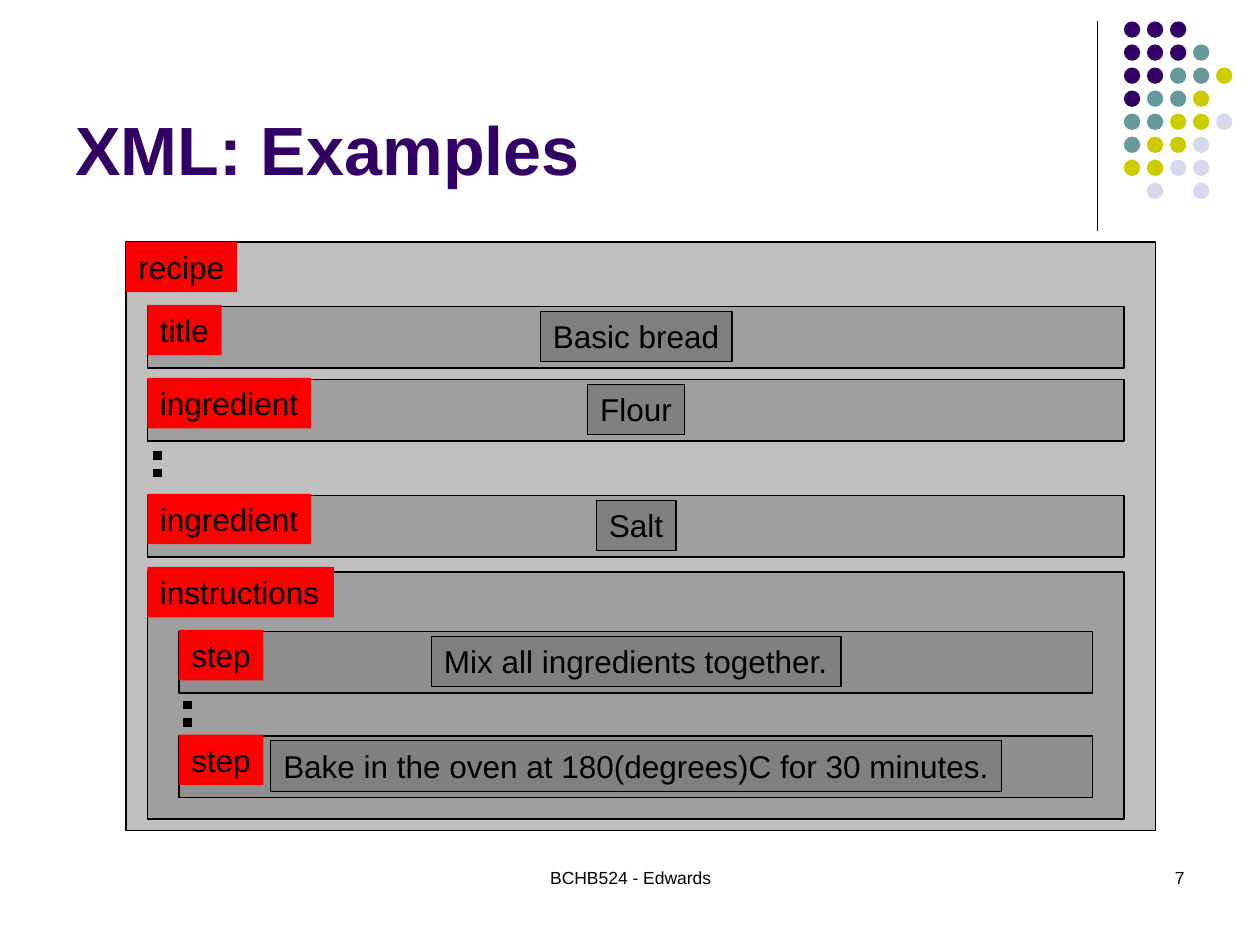
import pptx
import pptx.util
import pptx.dml.color
import pptx.enum.dml
import pptx.enum.shapes
import pptx.enum.text
import pptx.oxml
import pptx.oxml.ns

Inches = pptx.util.Inches
Pt = pptx.util.Pt
Align = pptx.enum.text.PP_ALIGN
Anchor = pptx.enum.text.MSO_ANCHOR
Shape = pptx.enum.shapes.MSO_SHAPE

COLORS = {
    "ink": "000000", "tag": "FF0000", "gray": "808080",
    "P": "330066", "T": "669999", "Y": "CCCC00", "L": "D8D8EC",
}

DOT_ROWS = ["PPP", "PPPT", "PPTTY", "PTTY", "TTYYL", "TYYL", "YYLL", " L L"]

HEADINGS = [
    ("XML: Examples", (0.5, 0.13, 8.25, 1.42), Align.LEFT, Anchor.BOTTOM,
     {"size": Pt(39), "bold": True}, "P"),
    ("BCHB524 - Edwards", (3.42, 6.83, 3.17, 0.5), Align.CENTER, Anchor.TOP,
     {"size": Pt(10)}, "ink"),
    ("7", (7.17, 6.83, 2.33, 0.5), Align.RIGHT, Anchor.TOP,
     {"size": Pt(10)}, "ink"),
]

ELEMENT_FIELDS = ("tag", "level", "top", "tag_width", "gap", "height",
                  "value", "value_width")
ELEMENTS = [dict(zip(ELEMENT_FIELDS, element)) for element in [
    ("recipe", 0, 1.92, 0.88, 0, 4.67, None, 0),
    ("title", 1, 2.42, 0.59, 0.01, 0.49, "Basic bread", 1.52),
    ("ingredient", 1, 3, 1.3, 0.01, 0.49, "Flour", 0.77),
    ("ingredient", 1, 3.92, 1.3, 0.01, 0.49, "Salt", 0.63),
    ("instructions", 1, 4.5, 1.48, 0.04, 1.96, None, 0),
    ("step", 2, 5, 0.67, 0.01, 0.49, "Mix all ingredients together.", 3.25),
    ("step", 2, 5.83, 0.67, 0.01, 0.49,
     "Bake in the oven at 180(degrees)C for 30 minutes.", 5.8),
]]
LEVELS = [(1, 8.17), (1.17, 7.75), (1.42, 7.25)]
ELLIPSES = [(1.25, 3.58), (1.49, 5.56)]

LABEL_HEIGHT = 0.4
VALUE_CENTER = 5.05
VALUE_DROP = 0.05
DOT_SIZE = 0.13
DOT_ORIGIN = (8.92, 0.17)
DOT_PITCH = 1.28 / 7

deck = pptx.Presentation()
deck.slide_width, deck.slide_height = Inches(10), Inches(7.5)
slide = deck.slides.add_slide(deck.slide_layouts[6])


def rgb(name):
    return pptx.dml.color.RGBColor.from_string(COLORS[name])


def write(shape, text, color, font, paragraph, frame):
    for name, value in frame.items():
        setattr(shape.text_frame, name, value)
    line = shape.text_frame.paragraphs[0]
    for name, value in paragraph.items():
        setattr(line, name, value)
    run = line.add_run()
    run.text = text
    for name, value in {"name": "Arial", **font}.items():
        setattr(run.font, name, value)
    run.font.color.rgb = rgb(color)


def add_block(kind, place, fill, outlined=False, opacity=None):
    block = slide.shapes.add_shape(kind, *map(Inches, place))
    block.shadow.inherit = False
    block.fill.solid()
    block.fill.fore_color.rgb = rgb(fill)
    if outlined:
        block.line.color.rgb = rgb("ink")
        block.line.width = Pt(0.75)
    else:
        block.line.fill.background()
    if opacity is not None:
        tint = block._element.spPr.find(
            "/".join(map(pptx.oxml.ns.qn, ("a:solidFill", "a:srgbClr"))))
        tint.append(pptx.oxml.parse_xml(
            f'<a:alpha {pptx.oxml.ns.nsdecls("a")} val="{opacity * 1000}"/>'))
    return block


def add_label(text, place, fill, outlined=False):
    label = add_block(Shape.RECTANGLE, place, fill, outlined)
    write(label, text, "ink", {"size": Pt(18)}, {"alignment": Align.LEFT},
          {"word_wrap": False, "vertical_anchor": Anchor.TOP,
           "auto_size": pptx.enum.text.MSO_AUTO_SIZE.SHAPE_TO_FIT_TEXT})


def add_vertical(x, top, bottom, width, dash=None):
    rule = slide.shapes.add_connector(
        pptx.enum.shapes.MSO_CONNECTOR.STRAIGHT, *map(Inches, (x, top, x, bottom)))
    rule.line.color.rgb = rgb("ink")
    rule.line.width = Pt(width)
    if dash:
        rule.line.dash_style = dash
    rule._element.spPr.append(
        pptx.oxml.parse_xml(f'<a:effectLst {pptx.oxml.ns.nsdecls("a")}/>'))


add_vertical(8.71, 0.17, 1.83, 0.75)
for row, dots in enumerate(DOT_ROWS):
    for column, dot in enumerate(dots):
        if dot != " ":
            add_block(Shape.OVAL, (DOT_ORIGIN[0] + column * DOT_PITCH,
                                   DOT_ORIGIN[1] + row * DOT_PITCH,
                                   DOT_SIZE, DOT_SIZE), dot)

for text, place, alignment, anchor, font, color in HEADINGS:
    heading = slide.shapes.add_textbox(*map(Inches, place))
    write(heading, text, color, font, {"alignment": alignment},
          {"word_wrap": True, "vertical_anchor": anchor})

for element in ELEMENTS:
    left, width = LEVELS[element["level"]]
    top = element["top"]
    add_block(Shape.RECTANGLE, (left, top + element["gap"], width, element["height"]),
              "gray", True, 50)
    add_label(element["tag"], (left, top, element["tag_width"], LABEL_HEIGHT), "tag")
    if element["value"]:
        value_width = element["value_width"]
        add_label(element["value"], (VALUE_CENTER - value_width / 2, top + VALUE_DROP,
                                     value_width, LABEL_HEIGHT), "gray", True)

for x, top in ELLIPSES:
    add_vertical(x, top, top + 0.25, 5, pptx.enum.dml.MSO_LINE.ROUND_DOT)

deck.save("out.pptx")
